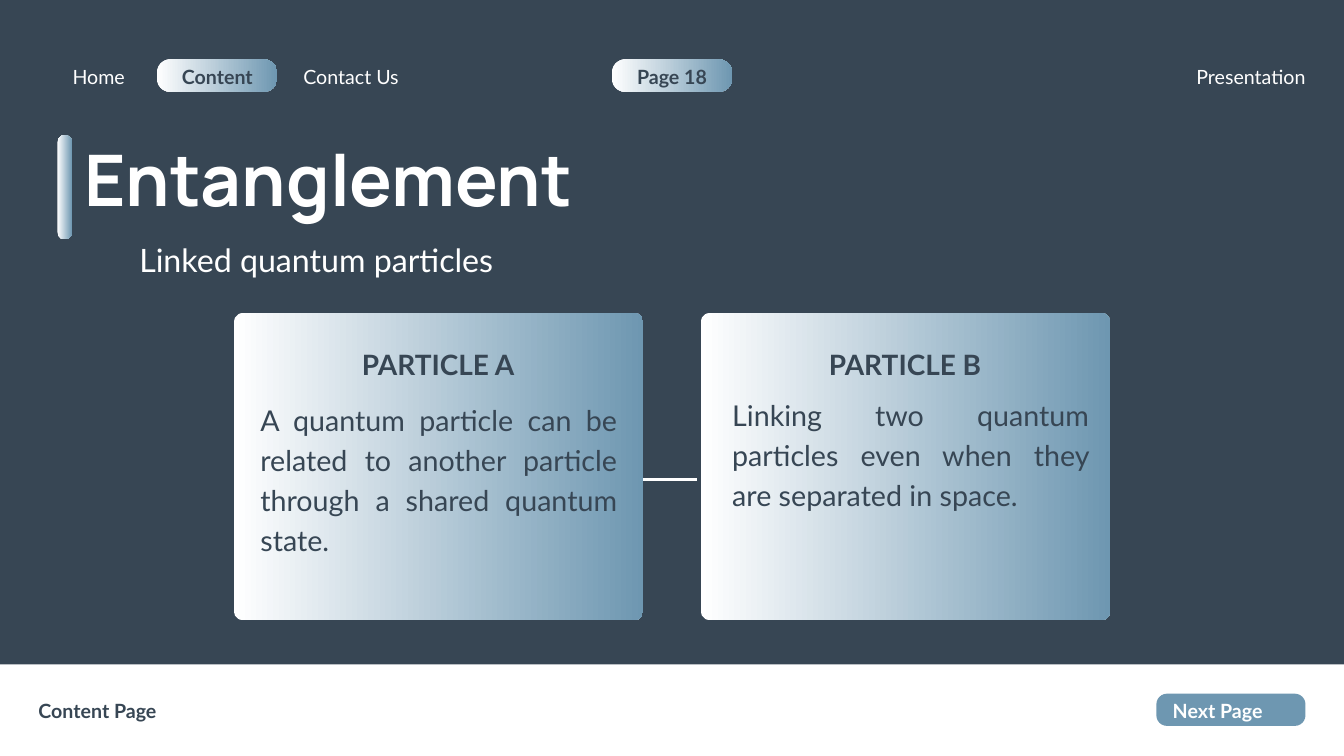
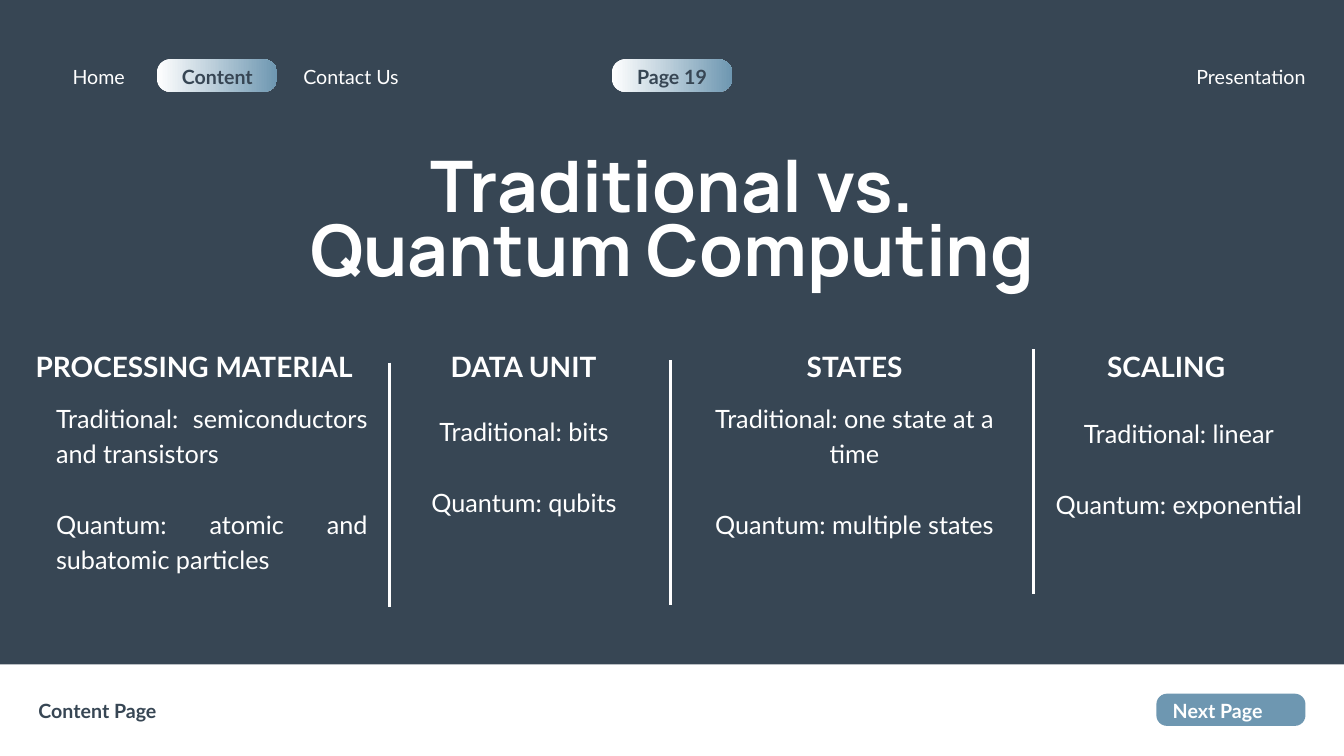
from collections import namedtuple
from dataclasses import dataclass

from lxml.etree import SubElement
from pptx import Presentation
from pptx.dml.color import RGBColor as RGB
from pptx.enum.shapes import MSO_CONNECTOR as Connector, MSO_SHAPE as Shape
from pptx.enum.text import MSO_ANCHOR as Anchor, MSO_AUTO_SIZE as AutoSize, PP_ALIGN as Align
from pptx.oxml.ns import qn
from pptx.util import Emu, Pt

PX = 9525
WIDTH, HEIGHT = 1920, 1080
COMPARISON_LAYOUT = 4

TypeStyle = namedtuple("TypeStyle", "font size leading bold")


@dataclass(frozen=True)
class Theme:
    slate: RGB = RGB(0x37, 0x46, 0x54)
    steel: RGB = RGB(0x6E, 0x97, 0xB1)
    white: RGB = RGB(0xFF, 0xFF, 0xFF)
    rule: float = 3
    title: TypeStyle = TypeStyle("Manrope", 76.2, 68.5, True)
    subtitle: TypeStyle = TypeStyle("Lato", 34.5, 48.3, False)
    heading: TypeStyle = TypeStyle("Lato", 30, 36, True)
    card: TypeStyle = TypeStyle("Lato", 30.7, 43, False)
    column: TypeStyle = TypeStyle("Lato", 27, 37.8, False)
    nav: TypeStyle = TypeStyle("Lato", 21, 29.4, False)
    label: TypeStyle = TypeStyle("Lato", 21, 29.4, True)


THEME = Theme()


def px(*lengths):
    return [Emu(length * PX) for length in lengths]


def paint(fill, color=None):
    """Fill with a colour, or with the white-to-steel gradient when none is given."""
    if color is not None:
        fill.solid()
        fill.fore_color.rgb = color
        return
    fill.gradient()
    fill.gradient_angle = 0
    for stop, shade in zip(fill.gradient_stops, (THEME.white, THEME.steel)):
        stop.color.rgb = shade


def write(holder, text, *, style, color=THEME.white, align=Align.LEFT, gap=0):
    """Set the text of a box, one paragraph per line, without insets or bullets."""
    frame = holder.text_frame
    frame.word_wrap = True
    frame.auto_size = AutoSize.NONE
    frame.vertical_anchor = Anchor.TOP
    frame.margin_left = frame.margin_top = frame.margin_right = frame.margin_bottom = 0
    frame.text = text
    for number, paragraph in enumerate(frame.paragraphs):
        paragraph.alignment = align
        paragraph.line_spacing = Pt(style.leading)
        paragraph.space_before = Pt(gap if number else 0)
        properties = paragraph._p.get_or_add_pPr()
        properties.set("marL", "0")
        properties.set("indent", "0")
        SubElement(properties, qn("a:buNone"))
        for run in paragraph.runs:
            run.font.name = style.font
            run.font.size = Pt(style.size)
            run.font.bold = style.bold
            paint(run.font.fill, color)


class Deck:
    """Holds the presentation, its style and the slide being built."""

    def __init__(self, theme):
        self.theme = theme
        self.prs = Presentation()
        self.prs.slide_width, self.prs.slide_height = px(WIDTH, HEIGHT)
        paint(self.prs.slide_master.background.fill, theme.slate)

    def new_slide(self, page):
        """Start a slide with its navigation row and footer."""
        theme = self.theme
        layout = self.prs.slide_layouts[COMPARISON_LAYOUT]
        self.slide = self.prs.slides.add_slide(layout)
        self.spare = [p for p in self.slide.placeholders if p.placeholder_format.idx]
        for left in (874, 224):
            self.panel(left, 85, 172, 46, corner=0.41)
        self.panel(0, 949, WIDTH, HEIGHT - 949, color=theme.white)
        self.panel(1652, 991, 213, 46, corner=0.33, color=theme.steel)
        dark = dict(style=theme.label, color=theme.slate)
        center = dict(align=Align.CENTER)
        self.text(f"Page {page}", 898, 87, 124, 37, **dark, **center)
        self.text("Content", 249, 87, 123, 37, **dark, **center)
        self.text("Contact Us", 417, 87, 169, 37, style=theme.nav, **center)
        self.text("Presentation", 1411, 87, 454, 37, style=theme.nav, align=Align.RIGHT)
        self.text("Home", 79, 87, 124, 37, style=theme.nav, **center)
        self.text("Next Page", 1668, 993, 143, 37, style=theme.label, **center)
        self.text("Content Page", 55, 993, 218, 37, **dark)

    def panel(self, left, top, width, height, corner=0, color=None):
        kind = Shape.ROUNDED_RECTANGLE if corner else Shape.RECTANGLE
        panel = self.slide.shapes.add_shape(kind, *px(left, top, width, height))
        if corner:
            panel.adjustments[0] = corner
        panel.shadow.inherit = False
        panel.line.fill.background()
        paint(panel.fill, color)

    def text(self, text, *box, **form):
        write(self.slide.shapes.add_textbox(*px(*box)), text, **form)

    def place(self, holder, text, box, form):
        """Move a placeholder to the front, at the given box, and fill it."""
        holder.left, holder.top, holder.width, holder.height = px(*box)
        self.slide.shapes._spTree.append(holder._element)
        write(holder, text, **form)

    def title(self, text, *box, align=Align.LEFT):
        form = dict(style=self.theme.title, color=None, align=align)
        self.place(self.slide.shapes.title, text, box, form)

    def body(self, text, *box, **form):
        """Use the next free body placeholder, or a text box once all are taken."""
        if self.spare:
            self.place(self.spare.pop(0), text, box, form)
        else:
            self.text(text, *box, **form)

    def rule(self, *ends):
        rule = self.slide.shapes.add_connector(Connector.STRAIGHT, *px(*ends))
        rule.line.color.rgb = self.theme.white
        rule.line.width = Pt(self.theme.rule)
        SubElement(rule._element.spPr, qn("a:effectLst"))


def build_entanglement(deck):
    theme = deck.theme
    deck.new_slide(18)
    deck.panel(82, 193, 21, 149, corner=0.5)
    deck.title("Entanglement", 120, 224, 970, 197)
    deck.text("Linked quantum particles", 199, 334, 606, 61,
              style=theme.subtitle, align=Align.JUSTIFY)
    particles = [
        ("PARTICLE A", 334, 372, 567,
         "A quantum particle can be related to another particle through a shared quantum state."),
        ("PARTICLE B", 1001, 1046, 560,
         "Linking two quantum particles even when they are separated in space."),
    ]
    for name, card_left, text_left, text_top, description in particles:
        deck.panel(card_left, 447, 585, 439, corner=0.03)
        deck.body(name, card_left + 125, 496, 334, 48,
                  style=theme.heading, color=theme.slate, align=Align.CENTER)
        deck.body(description, text_left, text_top, 510, 281,
                  style=theme.card, color=theme.slate, align=Align.JUSTIFY)
    deck.rule(919, 685, 996, 685)


def build_comparison(deck):
    theme = deck.theme
    deck.new_slide(19)
    deck.title("Traditional vs. Quantum Computing", 396, 232, 1129, 198, align=Align.CENTER)
    aspects = [
        ("PROCESSING MATERIAL", (29, 500, 497, 48), (80, 569, 445, 348), Align.JUSTIFY,
         "semiconductors and transistors", "atomic and subatomic particles"),
        ("DATA UNIT", (587, 499, 322, 48), (526, 588, 445, 199), Align.CENTER,
         "bits", "qubits"),
        ("STATES", (1060, 499, 322, 48), (998, 569, 445, 299), Align.CENTER,
         "one state at a time", "multiple states"),
        ("SCALING", (1505, 499, 322, 48), (1476, 591, 416, 199), Align.CENTER,
         "linear", "exponential"),
    ]
    for aspect, heading_box, text_box, align, traditional, quantum in aspects:
        deck.body(aspect, *heading_box, style=theme.heading, align=Align.CENTER)
        deck.body(f"Traditional: {traditional}\nQuantum: {quantum}", *text_box,
                  style=theme.column, align=align, gap=theme.column.leading)
    for left, top in ((557, 518), (958, 515), (1477, 499)):
        deck.rule(left, top, left, top + 349)


def main():
    deck = Deck(THEME)
    build_entanglement(deck)
    build_comparison(deck)
    deck.prs.save("out.pptx")


if __name__ == "__main__":
    main()
